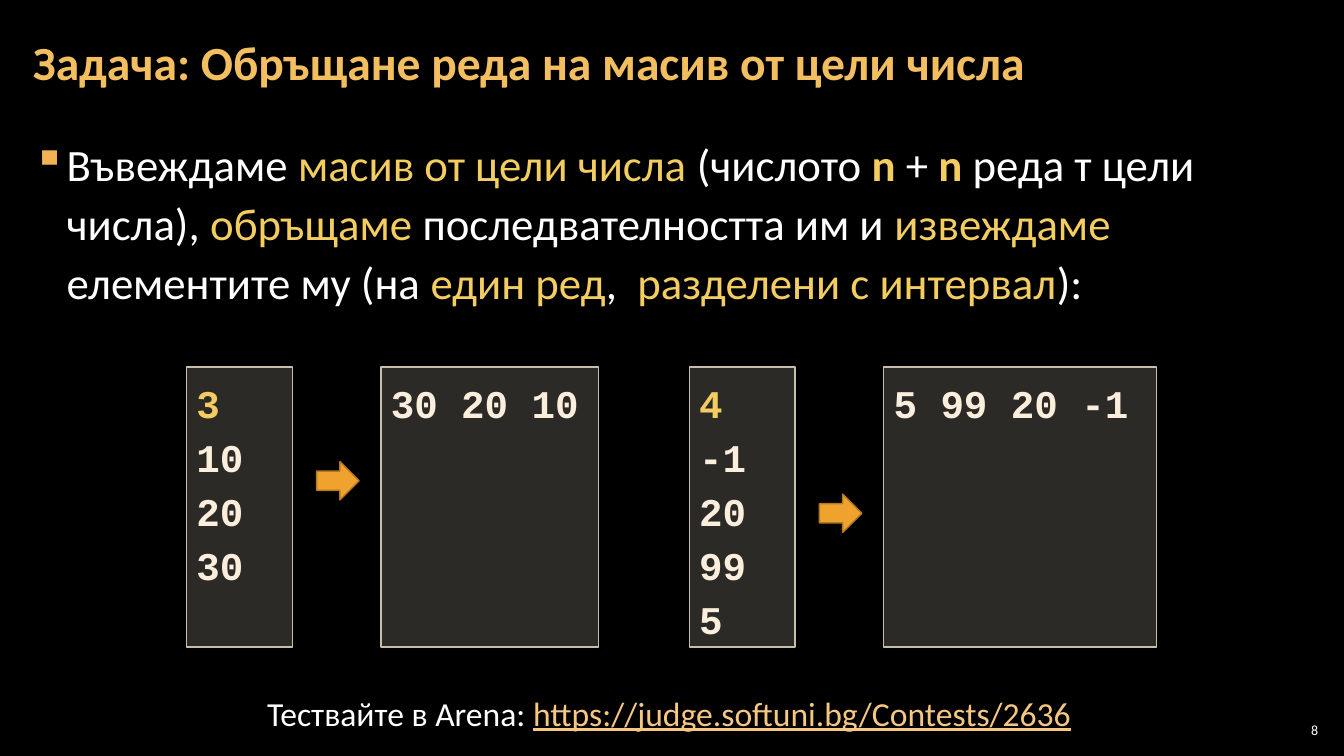
import pptx
import pptx.util
import pptx.dml.color
import pptx.enum.shapes
import pptx.enum.text
import lxml.etree

Cm = pptx.util.Cm
Pt = pptx.util.Pt
SHAPES = pptx.enum.shapes.MSO_SHAPE
ANCHOR = pptx.enum.text.MSO_ANCHOR
ALIGN = pptx.enum.text.PP_ALIGN

# Content
COLORS = {
    "background": "000000", "white": "FFFFFF", "title": "F3BE60",
    "accent": "F3CD60", "code": "FBEEDC", "link": "F6C781",
    "bullet": "F2B254", "panel": "D9D5C7", "panel line": "C7BFAC",
    "arrow": "F0A22E", "arrow line": "B27822",
}
TITLE = "Задача: Обръщане реда на масив от цели числа"
TASK = [  # text, colour, bold
    ("Въвеждаме ", "white", False), ("масив от цели числа", "accent", False),
    (" (числото ", "white", False), ("n", "accent", True),
    (" + ", "white", False), ("n ", "accent", True),
    ("реда т цели числа), ", "white", False), ("обръщаме ", "accent", False),
    ("последвателността им и ", "white", False), ("извеждаме ", "accent", False),
    ("елементите му (на ", "white", False), ("един ред", "accent", False),
    (", ", "white", False), (" разделени с интервал", "accent", False),
    ("):", "white", False),
]
EXAMPLES = [  # left edge, input lines, output, output width, arrow top (cm)
    (4.7, ["3", "10", "20", "30"], "30 20 10", 5.49, 11.63),
    (17.37, ["4", "-1", "20", "99", "5"], "5 99 20 -1", 6.88, 12.45),
]
TESTING = ("Тествайте в Arena: ", "https://judge.softuni.bg/Contests/2636")
PAGE_NUMBER = "8"

# Layout in cm
PANEL_TOP, PANEL_HEIGHT, INPUT_WIDTH = 9.25, 7.06, 2.67
ARROW_OFFSET, OUTPUT_OFFSET = 3.28, 4.9
ARROW_WIDTH, ARROW_HEIGHT = 1.07, 0.97


def rgb(name):
    return pptx.dml.color.RGBColor.from_string(COLORS[name])


def style(run, size, color, font="Calibri", bold=False):
    run.font.size = Pt(size)
    run.font.name = font
    run.font.bold = bold
    run.font.color.rgb = rgb(color)


def add_run(paragraph, text, *look):
    run = paragraph.add_run()
    run.text = text
    style(run, *look)
    return run


def add_box(left, top, width, height, anchor=ANCHOR.TOP, inset=0.3):
    frame = slide.shapes.add_textbox(Cm(left), Cm(top), Cm(width), Cm(height)).text_frame
    frame.word_wrap = True
    frame.vertical_anchor = anchor
    frame.margin_left = frame.margin_right = Cm(inset)
    frame.margin_top = frame.margin_bottom = Cm(0.1)
    return frame


def add_filled(kind, left, top, width, height, fill, line):
    shape = slide.shapes.add_shape(kind, Cm(left), Cm(top), Cm(width), Cm(height))
    shape.shadow.inherit = False
    shape.fill.solid()
    shape.fill.fore_color.rgb = rgb(fill)
    shape.line.color.rgb = rgb(line)
    shape.line.width = Pt(1)
    return shape


def add_panel(left, width, lines, line_colors):
    panel = add_filled(SHAPES.RECTANGLE, left, PANEL_TOP, width, PANEL_HEIGHT,
                       "panel", "panel line")
    fill_color = panel.fill._xPr.find(".//" + pptx.oxml.ns.qn("a:srgbClr"))
    lxml.etree.SubElement(fill_color, pptx.oxml.ns.qn("a:alpha"), val="20000")
    frame = panel.text_frame
    frame.word_wrap = True
    frame.vertical_anchor = ANCHOR.TOP
    frame.text = "\n".join(lines)
    for paragraph, color in zip(frame.paragraphs, line_colors):
        paragraph.alignment = ALIGN.LEFT
        paragraph.line_spacing = 1.15
        style(paragraph.runs[0], 28, color, "Courier New", True)


presentation = pptx.Presentation()
presentation.slide_width, presentation.slide_height = Cm(33.87), Cm(19.05)
slide = presentation.slides.add_slide(presentation.slide_layouts[6])
slide.background.fill.solid()
slide.background.fill.fore_color.rgb = rgb("background")

# Title
title = add_box(0.53, 0.1, 32.79, 3.07, ANCHOR.MIDDLE).paragraphs[0]
title.line_spacing = 0.9
add_run(title, TITLE, 34, "title", "Calibri", True)

# Task statement with a square bullet
task = add_box(0.53, 3.2, 32.79, 5.6).paragraphs[0]
task.line_spacing = 1.1
task.space_after = Pt(6)
task_properties = task._p.get_or_add_pPr()
task_properties.set("marL", str(Cm(0.85)))
task_properties.set("indent", str(Cm(-0.85)))
bullet_color = lxml.etree.SubElement(task_properties, pptx.oxml.ns.qn("a:buClr"))
lxml.etree.SubElement(bullet_color, pptx.oxml.ns.qn("a:srgbClr"), val=COLORS["bullet"])
lxml.etree.SubElement(task_properties, pptx.oxml.ns.qn("a:buChar"), char="▪")
for text, color, bold in TASK:
    add_run(task, text, 32, color, "Calibri", bold)

# Examples: input, arrow, output
for left, numbers, output, output_width, arrow_top in EXAMPLES:
    add_panel(left, INPUT_WIDTH, numbers, ["accent"] + ["code"] * (len(numbers) - 1))
    add_panel(left + OUTPUT_OFFSET, output_width, [output], ["code"])
    add_filled(SHAPES.RIGHT_ARROW, left + ARROW_OFFSET, arrow_top,
               ARROW_WIDTH, ARROW_HEIGHT, "arrow", "arrow line")

# Testing address
testing = add_box(6.48, 17.35, 21.23, 1.27, inset=0.25).paragraphs[0]
add_run(testing, TESTING[0], 24, "white")
add_run(testing, TESTING[1], 24, "link").font.underline = True

# Page number
page = add_box(32.13, 18.14, 1.19, 0.53, ANCHOR.MIDDLE, 0.1).paragraphs[0]
page.alignment = ALIGN.RIGHT
add_run(page, PAGE_NUMBER, 10, "white")

presentation.save("out.pptx")
